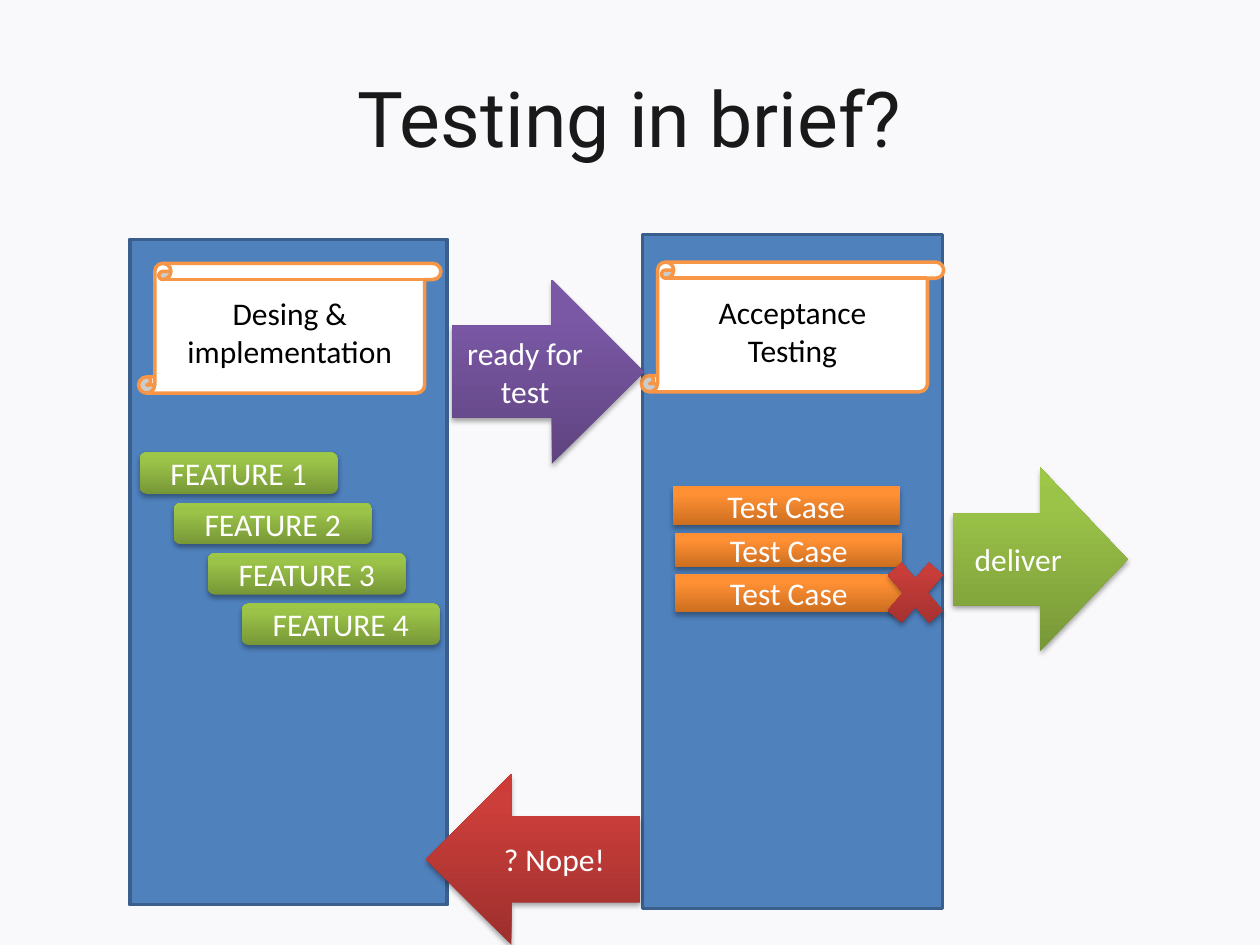
from copy import deepcopy

from lxml.etree import SubElement
from pptx import Presentation
from pptx.dml.color import RGBColor
from pptx.enum.shapes import MSO_SHAPE
from pptx.enum.text import MSO_ANCHOR, PP_ALIGN
from pptx.oxml.ns import qn
from pptx.util import Inches, Pt

# Grid of 100 columns by 75 rows
WIDTH, HEIGHT = Inches(10), Inches(7.5)
COL, ROW = WIDTH / 100, HEIGHT / 75

PAPER = RGBColor(0xF9, 0xF9, 0xFB)
INK = RGBColor(0x19, 0x19, 0x19)
BLACK = RGBColor(0, 0, 0)
WHITE = RGBColor(0xFF, 0xFF, 0xFF)
BLUE = RGBColor(0x4F, 0x81, 0xBD)
NAVY = RGBColor(0x3A, 0x5F, 0x8C)
AMBER = RGBColor(0xF7, 0x96, 0x46)

# Gradients from bottom to top, with stops at STOPS
STOPS = (0, 0.8, 1)
ORANGE = (RGBColor(0xCC, 0x6E, 0x20), RGBColor(0xFF, 0x90, 0x34), RGBColor(0xFF, 0x91, 0x36))
RED = (RGBColor(0x9C, 0x2F, 0x2D), RGBColor(0xCB, 0x3E, 0x3A), RGBColor(0xCE, 0x3B, 0x37))
GREEN = (RGBColor(0x77, 0x97, 0x37), RGBColor(0x9B, 0xC3, 0x48), RGBColor(0x9D, 0xC7, 0x46))
PURPLE = (RGBColor(0x5F, 0x44, 0x80), RGBColor(0x7B, 0x58, 0xA6), RGBColor(0x7C, 0x57, 0xA8))


def cells(x, y, w, h):
    """Turn grid columns and rows into slide lengths."""
    return round(x * COL), round(y * ROW), round(w * COL), round(h * ROW)


def write(sp, lines, size=18, font="Calibri", color=WHITE):
    tf = sp.text_frame
    tf.word_wrap = True
    tf.vertical_anchor = MSO_ANCHOR.MIDDLE
    for i, line in enumerate(lines):
        p = tf.add_paragraph() if i else tf.paragraphs[0]
        p.alignment = PP_ALIGN.CENTER
        r = p.add_run()
        r.text = line
        r.font.size = Pt(size)
        r.font.name = font
        r.font.color.rgb = color


def add_flat(s, kind, box, fill, line):
    sp = s.shapes.add_shape(kind, *cells(*box))
    sp.shadow.inherit = False
    sp.fill.solid()
    sp.fill.fore_color.rgb = fill
    sp.line.color.rgb = line
    sp.line.width = Pt(2)
    return sp


def add_glossy(s, kind, box, colors, text=None):
    """Add a borderless shape with a three-stop gradient and a soft shadow."""
    sp = s.shapes.add_shape(kind, *cells(*box))
    sp.line.fill.background()
    sp.fill.gradient()
    sp.fill.gradient_angle = 90
    stop_list = sp._element.spPr.find(qn("a:gradFill")).find(qn("a:gsLst"))
    stop_list.append(deepcopy(stop_list[0]))
    for stop, position, color in zip(sp.fill.gradient_stops, STOPS, colors):
        stop.position = position
        stop.color.rgb = color

    sp.shadow.inherit = False
    effects = sp._element.spPr.find(qn("a:effectLst"))
    shadow = SubElement(effects, qn("a:outerShdw"), blurRad=str(Pt(3.1)), dist=str(Pt(1.8)),
                        dir="5400000", rotWithShape="0")
    shade = SubElement(shadow, qn("a:srgbClr"), val="000000")
    SubElement(shade, qn("a:alpha"), val="35000")
    if text:
        write(sp, [text])


def add_title(s, box):
    sp = s.shapes.add_textbox(*cells(*box))
    write(sp, ["Testing in brief?"], 44, "Roboto", INK)


def add_stage(s, box, scroll_dx, scroll_dy, heading):
    """Blue column headed by a scroll."""
    x, y, _, _ = box
    add_flat(s, MSO_SHAPE.RECTANGLE, box, BLUE, NAVY)
    scroll = add_flat(s, MSO_SHAPE.VERTICAL_SCROLL,
                      (x + scroll_dx, y + scroll_dy, 24, 10.3), WHITE, AMBER)
    write(scroll, heading, color=BLACK)


def add_design(s, box):
    add_stage(s, box, 0.7, 1.9, ["Desing & implementation"])
    # Staircase of features
    x, y, _, _ = box
    for i in range(4):
        add_glossy(s, MSO_SHAPE.ROUNDED_RECTANGLE,
                   (x + 0.8 + 2.7 * i, y + 16.9 + 4 * i, 15.7, 3.3), GREEN, f"FEATURE {i + 1}")


def add_testing(s, box):
    add_stage(s, box, -0.1, 2.2, ["Acceptance", "Testing"])
    # Stack of test cases, the last one failed
    x, y, _, _ = box
    for dx, dy, h in ((2.4, 20, 3.1), (2.6, 23.7, 2.7), (2.6, 27, 3)):
        add_glossy(s, MSO_SHAPE.RECTANGLE, (x + dx, y + dy, 18, h), ORANGE, "Test Case")
    add_glossy(s, MSO_SHAPE.MATH_MULTIPLY, (x + 18.5, y + 24.8, 6.3, 7.3), RED)


def main():
    prs = Presentation()
    prs.slide_width, prs.slide_height = WIDTH, HEIGHT
    s = prs.slides.add_slide(prs.slide_layouts[6])
    s.background.fill.solid()
    s.background.fill.fore_color.rgb = PAPER

    add_title(s, (5, 3, 90, 12.5))
    add_design(s, (10.3, 19, 25.2, 52.8))
    add_testing(s, (51, 18.6, 23.8, 53.5))

    # Flow between the stages
    add_glossy(s, MSO_SHAPE.RIGHT_ARROW, (75.6, 37.1, 13.9, 14.6), GREEN, "deliver")
    add_glossy(s, MSO_SHAPE.RIGHT_ARROW, (35.9, 22.2, 15.2, 14.6), PURPLE, "ready for test")
    add_glossy(s, MSO_SHAPE.LEFT_ARROW, (33.8, 61.4, 17, 13.6), RED, "? Nope!")

    prs.save("out.pptx")


if __name__ == "__main__":
    main()
